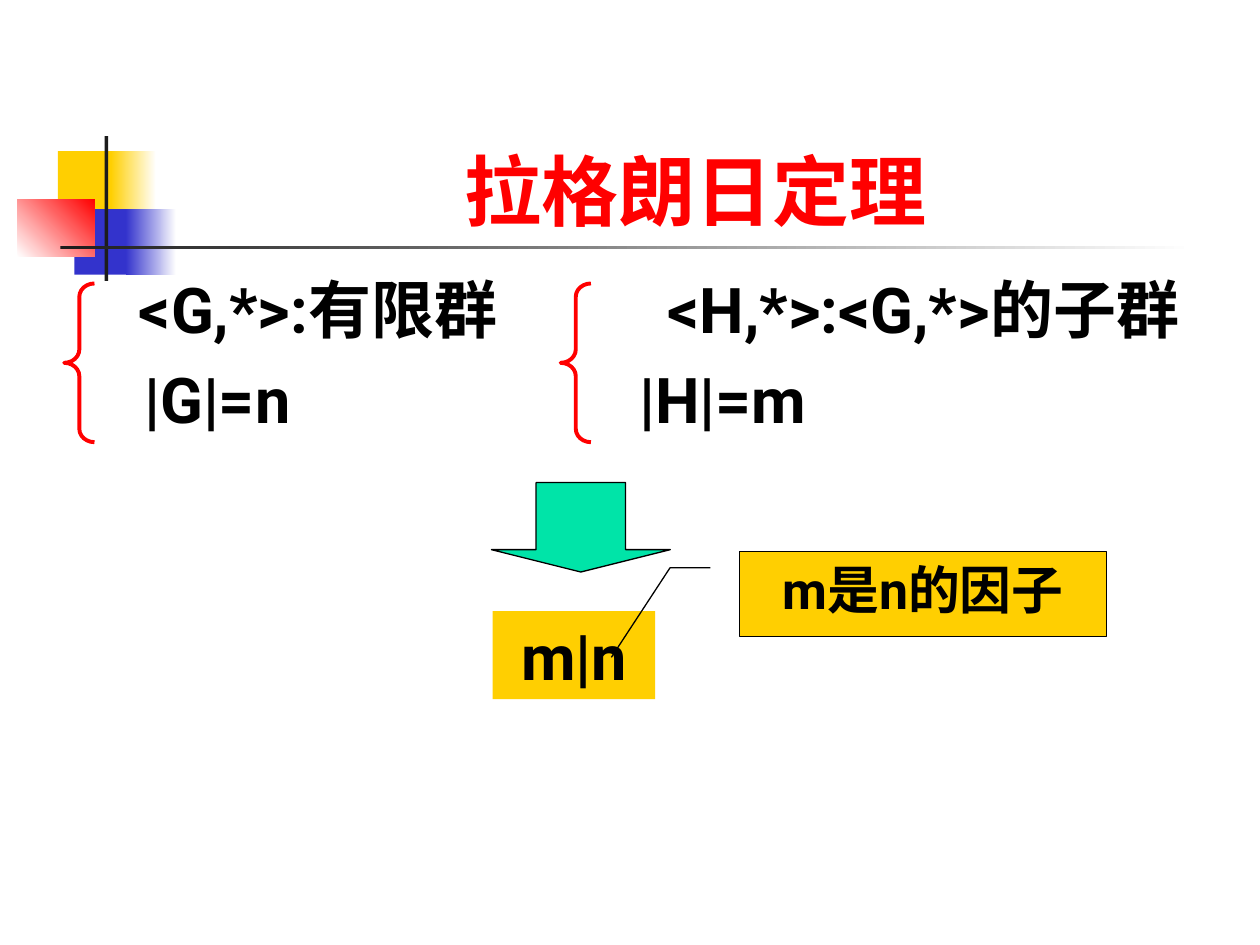
"""Build a slide on Lagrange's theorem for finite groups."""
from typing import NamedTuple, Optional

from pptx import Presentation
from pptx.dml.color import RGBColor
from pptx.enum.shapes import MSO_SHAPE
from pptx.enum.text import MSO_ANCHOR, PP_ALIGN
from pptx.util import Inches, Pt

FONT = "Roboto"
BLACK = RGBColor(0x00, 0x00, 0x00)
WHITE = RGBColor(0xFF, 0xFF, 0xFF)
RED = RGBColor(0xFF, 0x00, 0x00)
GOLD = RGBColor(0xFF, 0xCF, 0x01)
BLUE = RGBColor(0x33, 0x33, 0xCC)
DARK = RGBColor(0x1C, 0x1C, 0x1C)
GREEN = RGBColor(0x00, 0xE4, 0xA8)


class Box(NamedTuple):
    left: float
    top: float
    width: float
    height: float


class Block(NamedTuple):
    box: Box
    color: RGBColor
    fade_to: Optional[RGBColor] = None
    angle: float = 0


class Label(NamedTuple):
    box: Box
    text: str


BLOCKS = [
    Block(Box(0.46, 1.2, 0.48, 0.52), GOLD),
    Block(Box(0.88, 1.2, 0.36, 0.52), GOLD, WHITE),
    Block(Box(0.59, 1.66, 0.46, 0.52), BLUE),
    Block(Box(1, 1.66, 0.4, 0.52), BLUE, WHITE),
    Block(Box(0.14, 1.58, 0.61, 0.46), WHITE, RED, 45),
    Block(Box(0.83, 1.08, 0.03, 1.15), DARK),
    Block(Box(0.48, 1.95, 9, 0.03), DARK, WHITE),
]
LABELS = [
    Label(Box(0.87, 2.1, 3.31, 0.7), "<G,*>:有限群"),
    Label(Box(0.86, 2.81, 1.73, 0.7), "|G|=n"),
    Label(Box(4.99, 2.1, 4.68, 0.7), "<H,*>:<G,*>的子群"),
    Label(Box(4.78, 2.81, 1.91, 0.7), "|H|=m"),
]
BRACE_LEFTS = [0.51, 4.45]


def inches(box: Box) -> list:
    return [Inches(v) for v in box]


def add_figure(slide, kind, box: Box, fill=None, line=None, weight=0.75, adjust=()):
    sp = slide.shapes.add_shape(kind, *inches(box))
    sp.shadow.inherit = False
    for i, value in enumerate(adjust):
        sp.adjustments[i] = value
    if fill is None:
        sp.fill.background()
    else:
        sp.fill.solid()
        sp.fill.fore_color.rgb = fill
    if line is None:
        sp.line.fill.background()
    else:
        sp.line.color.rgb = line
        sp.line.width = Pt(weight)
    return sp


def add_block(slide, block: Block) -> None:
    sp = add_figure(slide, MSO_SHAPE.RECTANGLE, block.box, block.color)
    if block.fade_to is not None:
        sp.fill.gradient()
        sp.fill.gradient_angle = block.angle
        for stop, color in zip(sp.fill.gradient_stops, (block.color, block.fade_to)):
            stop.color.rgb = color


def write(sp, text: str, size: float = 36, color: RGBColor = BLACK,
          anchor=MSO_ANCHOR.TOP, wrap: bool = False) -> None:
    tf = sp.text_frame
    tf.word_wrap = wrap
    tf.vertical_anchor = anchor
    tf.text = text
    p = tf.paragraphs[0]
    p.alignment = PP_ALIGN.CENTER
    p.font.name = FONT
    p.font.size = Pt(size)
    p.font.bold = True
    p.font.color.rgb = color


def main() -> None:
    prs = Presentation()
    prs.slide_width, prs.slide_height = Inches(10), Inches(7.5)
    slide = prs.slides.add_slide(prs.slide_layouts[5])

    for block in BLOCKS:
        add_block(slide, block)

    title = slide.shapes.title
    title.left, title.top, title.width, title.height = inches(Box(1.26, 0.67, 8.52, 1.25))
    write(title, "拉格朗日定理", 44, RED, MSO_ANCHOR.BOTTOM, True)

    for label in LABELS:
        write(slide.shapes.add_textbox(*inches(label.box)), label.text)
    for left in BRACE_LEFTS:
        add_figure(slide, MSO_SHAPE.LEFT_BRACE, Box(left, 2.25, 0.24, 1.26),
                   line=RED, weight=2.25, adjust=(0.44, 0.5))

    add_figure(slide, MSO_SHAPE.DOWN_ARROW, Box(3.9, 3.83, 1.42, 0.71),
               GREEN, BLACK, adjust=(0.5, 0.25))
    result = add_figure(slide, MSO_SHAPE.RECTANGLE, Box(3.91, 4.85, 1.29, 0.7), GOLD)
    write(result, "m|n")
    callout = add_figure(slide, MSO_SHAPE.LINE_CALLOUT_2, Box(5.87, 4.38, 2.91, 0.67),
                         GOLD, BLACK, adjust=(0.19, -0.08, 0.19, -0.19, 1.25, -0.35))
    write(callout, "m是n的因子", 29.6, wrap=True)

    prs.save("out.pptx")


if __name__ == "__main__":
    main()
